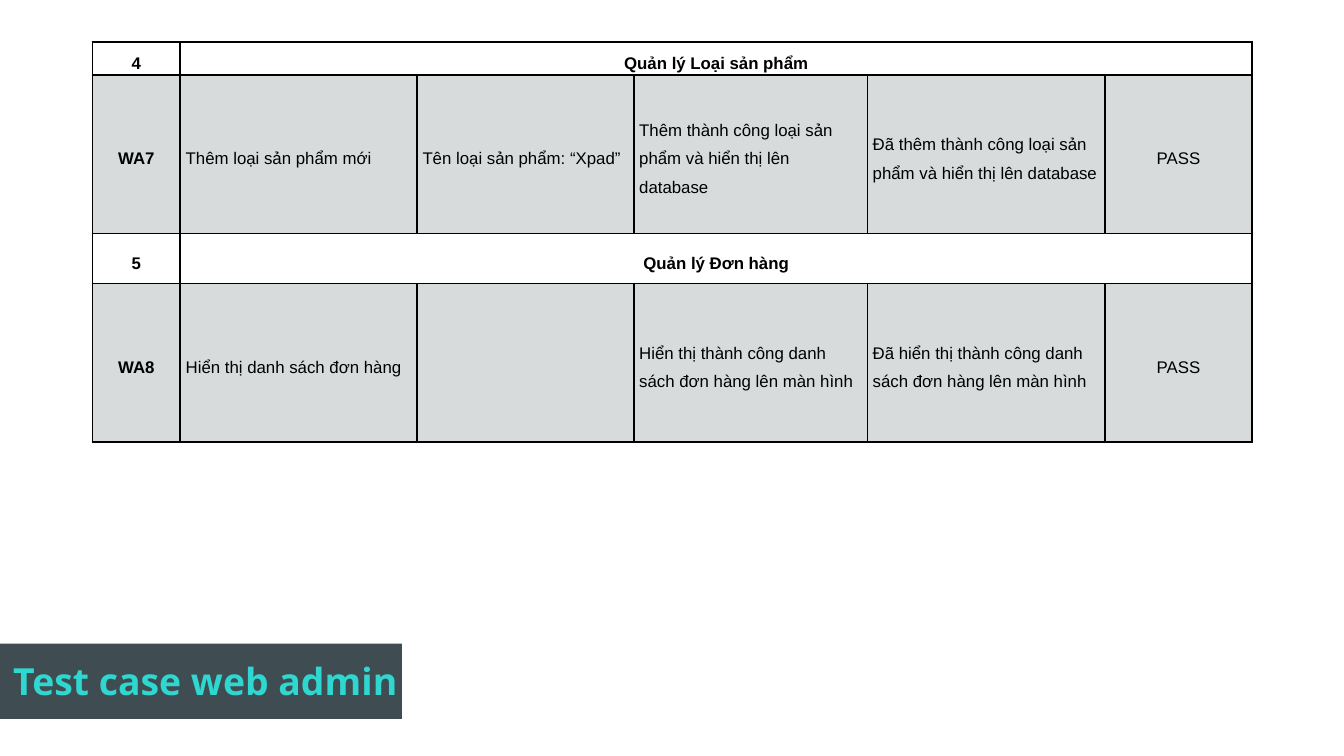
from lxml import etree
from pptx import Presentation
from pptx.dml.color import RGBColor
from pptx.enum.shapes import MSO_SHAPE
from pptx.enum.text import MSO_ANCHOR, PP_ALIGN
from pptx.oxml.ns import qn
from pptx.util import Pt

RECTANGLE = MSO_SHAPE.RECTANGLE
MIDDLE = MSO_ANCHOR.MIDDLE
LEFT, CENTER = PP_ALIGN.LEFT, PP_ALIGN.CENTER
BLACK = RGBColor(0x00, 0x00, 0x00)
SLATE = RGBColor(0x3F, 0x4D, 0x53)
TURQUOISE = RGBColor(0x2E, 0xD7, 0xCF)

TITLE = "Test case web admin"
ROWS = [
    ("4", "Quản lý Loại sản phẩm"),
    ("WA7", "Thêm loại sản phẩm mới", "Tên loại sản phẩm: “Xpad”",
     "Thêm thành công loại sản phẩm và hiển thị lên database",
     "Đã thêm thành công loại sản phẩm và hiển thị lên database", "PASS"),
    ("5", "Quản lý Đơn hàng"),
    ("WA8", "Hiển thị danh sách đơn hàng", "",
     "Hiển thị thành công danh sách đơn hàng lên màn hình",
     "Đã hiển thị thành công danh sách đơn hàng lên màn hình", "PASS"),
]
COLUMN_WIDTHS = [47.1, 126.9, 116.1, 125.1, 127.4, 78.7]
ROW_HEIGHTS = [17.8, 84.9, 26.7, 84.9]
TABLE_LEFT, TABLE_TOP = 49.5, 22.5


def write_text(frame, text, size=9, font="Arial", color=BLACK, bold=False,
               align=LEFT, spacing=None):
    paragraph = frame.paragraphs[0]
    paragraph.alignment = align
    paragraph.line_spacing = spacing
    run = paragraph.add_run()
    run.text = text
    run.font.size = Pt(size)
    run.font.name = font
    run.font.bold = bold
    run.font.color.rgb = color


def add_borders(cell):
    properties = cell._tc.get_or_add_tcPr()
    for side in ("a:lnL", "a:lnR", "a:lnT", "a:lnB"):
        line = etree.SubElement(properties, qn(side), w=str(Pt(1)))
        fill = etree.SubElement(line, qn("a:solidFill"))
        etree.SubElement(fill, qn("a:srgbClr"), val=str(BLACK))


def fill_cell(cell, tinted):
    if not tinted:
        cell.fill.background()
        return
    cell.fill.solid()
    cell.fill.fore_color.rgb = SLATE
    color = cell._tc.tcPr.find(qn("a:solidFill"))[0]
    etree.SubElement(color, qn("a:alpha"), val="20000")


def add_title(slide):
    band = slide.shapes.add_shape(RECTANGLE, 0, Pt(344.9), Pt(215.3), Pt(40.3))
    band.shadow.inherit = False
    band.fill.solid()
    band.fill.fore_color.rgb = SLATE
    band.line.fill.background()
    box = slide.shapes.add_textbox(0, Pt(349.2), Pt(246.2), Pt(31.7))
    box.text_frame.word_wrap = True
    write_text(box.text_frame, TITLE, size=20, font="Open Sans",
               color=TURQUOISE, bold=True)


def add_test_table(slide):
    last = len(COLUMN_WIDTHS) - 1
    table = slide.shapes.add_table(
        len(ROWS), len(COLUMN_WIDTHS), Pt(TABLE_LEFT), Pt(TABLE_TOP),
        Pt(sum(COLUMN_WIDTHS)), Pt(sum(ROW_HEIGHTS))).table
    table.first_row = table.horz_banding = False
    for column, width in zip(table.columns, COLUMN_WIDTHS):
        column.width = Pt(width)
    for row, height in zip(table.rows, ROW_HEIGHTS):
        row.height = Pt(height)
    for row_index, texts in enumerate(ROWS):
        heading = len(texts) == 2
        for column_index in range(last + 1):
            cell = table.cell(row_index, column_index)
            cell.vertical_anchor = MIDDLE
            cell.margin_left = cell.margin_right = Pt(2.9)
            cell.margin_top = cell.margin_bottom = 0
            add_borders(cell)
            fill_cell(cell, not heading)
        if heading:
            table.cell(row_index, 1).merge(table.cell(row_index, last))
        for column_index, text in enumerate(texts):
            if text:
                centered = heading or column_index in (0, last)
                write_text(table.cell(row_index, column_index).text_frame, text,
                           bold=heading or column_index == 0,
                           align=CENTER if centered else LEFT, spacing=1.5)


def main():
    presentation = Presentation()
    presentation.slide_width = Pt(720)
    presentation.slide_height = Pt(405)
    slide = presentation.slides.add_slide(presentation.slide_layouts[6])
    add_title(slide)
    add_test_table(slide)
    presentation.save("out.pptx")


if __name__ == "__main__":
    main()
